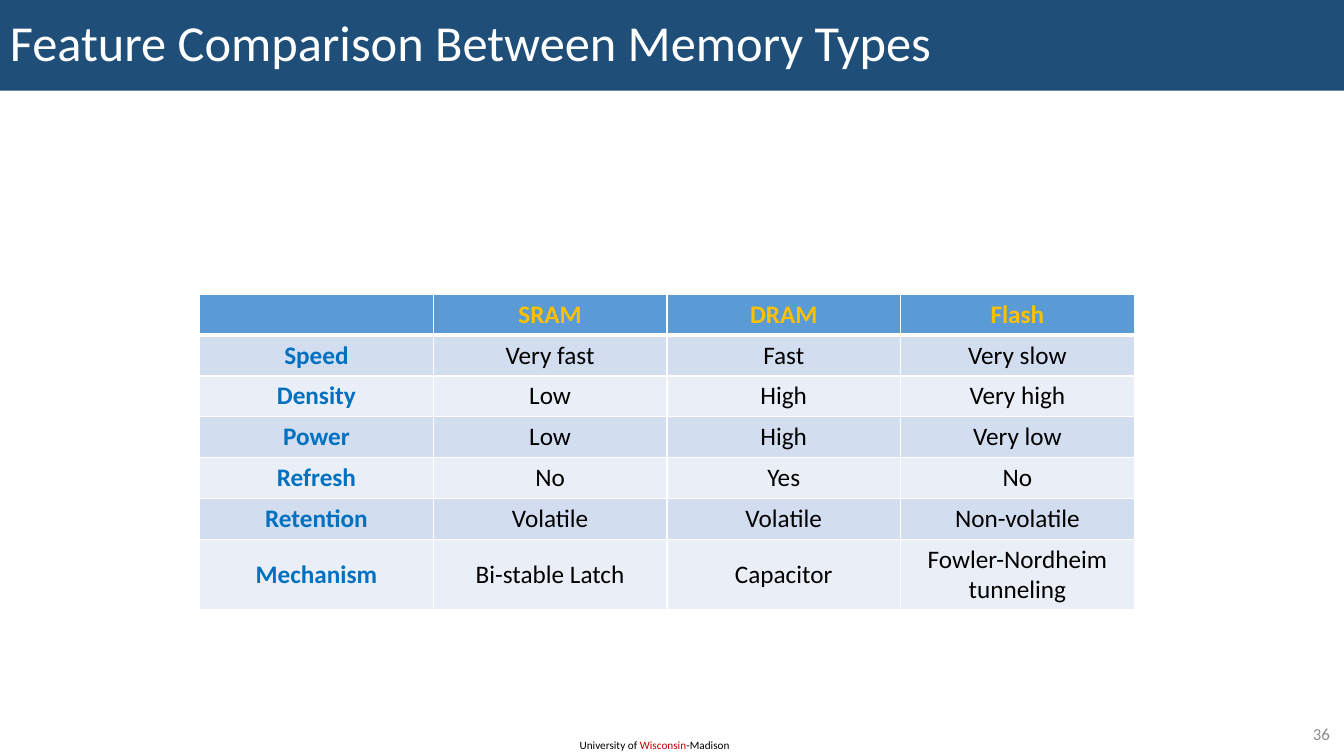
"""Build a slide comparing the features of SRAM, DRAM and Flash memory."""
from lxml import etree
from pptx import Presentation
from pptx.dml.color import RGBColor
from pptx.enum.shapes import MSO_SHAPE
from pptx.enum.text import MSO_ANCHOR, PP_ALIGN
from pptx.oxml.ns import qn
from pptx.util import Inches, Pt

RECTANGLE = MSO_SHAPE.RECTANGLE
TOP, MIDDLE = MSO_ANCHOR.TOP, MSO_ANCHOR.MIDDLE
LEFT, CENTER, RIGHT = PP_ALIGN.LEFT, PP_ALIGN.CENTER, PP_ALIGN.RIGHT

WIDTH, HEIGHT = 13.33, 7.5
FONT = "Calibri"
COLORS = {
    "banner": "1F4E79", "white": "FFFFFF", "black": "000000",
    "red": "C00000", "gray": "8C8C8C", "header": "5B9BD5",
    "gold": "FFC000", "feature": "0070C0",
    "odd_band": "D2DEEF", "even_band": "EAEFF7",
}
FEATURES = [
    ("", "SRAM", "DRAM", "Flash"),
    ("Speed", "Very fast", "Fast", "Very slow"),
    ("Density", "Low", "High", "Very high"),
    ("Power", "Low", "High", "Very low"),
    ("Refresh", "No", "Yes", "No"),
    ("Retention", "Volatile", "Volatile", "Non-volatile"),
    ("Mechanism", "Bi-stable Latch", "Capacitor", "Fowler-Nordheim tunneling"),
]
TABLE_LEFT, TABLE_TOP, TABLE_WIDTH, TABLE_HEIGHT = 1.98, 2.92, 9.27, 3.13
LAST_ROW_HEIGHT = 0.7


def color(name):
    """Return the named colour."""
    return RGBColor.from_string(COLORS[name])


def add_span(para, text, size, color_name, bold=False):
    """Add one formatted run to a paragraph."""
    span = para.add_run()
    span.text = text
    span.font.name = FONT
    span.font.size = Pt(size)
    span.font.bold = bold
    span.font.color.rgb = color(color_name)


def add_banner(page, title):
    """Add the full-width title band."""
    banner = page.shapes.add_shape(
        RECTANGLE, 0, 0, Inches(WIDTH), Inches(HEIGHT * 0.12))
    banner.shadow.inherit = False
    banner.fill.solid()
    banner.fill.fore_color.rgb = color("banner")
    banner.line.fill.background()
    banner.text_frame.word_wrap = True
    banner.text_frame.vertical_anchor = MIDDLE
    para = banner.text_frame.paragraphs[0]
    para.alignment = LEFT
    para.line_spacing = 0.9
    add_span(para, title, 36, "white")


def add_label(page, area, spans, size, align, anchor):
    """Add a one-line text box made of coloured spans."""
    box = page.shapes.add_textbox(*map(Inches, area))
    box.text_frame.word_wrap = True
    box.text_frame.vertical_anchor = anchor
    para = box.text_frame.paragraphs[0]
    para.alignment = align
    for text, color_name in spans:
        add_span(para, text, size, color_name)


def add_border(cell, side, points):
    """Draw a white line on one side of a cell."""
    line = etree.SubElement(
        cell._tc.get_or_add_tcPr(), qn(f"a:ln{side}"), w=str(Pt(points)))
    fill = etree.SubElement(line, qn("a:solidFill"))
    etree.SubElement(fill, qn("a:srgbClr"), val=COLORS["white"])


def style_cell(cell, text, row, column):
    """Write one table cell with its borders, band and text style."""
    for side in "LRTB":
        under_header = (row, side) in ((0, "B"), (1, "T"))
        add_border(cell, side, 3 if under_header else 1)
    band = "header" if row == 0 else "odd_band" if row % 2 else "even_band"
    cell.fill.solid()
    cell.fill.fore_color.rgb = color(band)
    cell.vertical_anchor = MIDDLE
    para = cell.text_frame.paragraphs[0]
    para.alignment = CENTER
    if text:
        text_color = "gold" if row == 0 else "black" if column else "feature"
        add_span(para, text, 18, text_color, bold=row == 0 or column == 0)


def add_feature_table(page):
    """Add the table of memory features."""
    area = (TABLE_LEFT, TABLE_TOP, TABLE_WIDTH, TABLE_HEIGHT)
    table = page.shapes.add_table(
        len(FEATURES), len(FEATURES[0]), *map(Inches, area)).table
    row_height = (TABLE_HEIGHT - LAST_ROW_HEIGHT) / (len(FEATURES) - 1)
    for row, texts in enumerate(FEATURES):
        table.rows[row].height = Inches(row_height)
        for column, text in enumerate(texts):
            style_cell(table.cell(row, column), text, row, column)
    table.rows[len(FEATURES) - 1].height = Inches(LAST_ROW_HEIGHT)


def main():
    """Build and save the deck."""
    deck = Presentation()
    deck.slide_width, deck.slide_height = Inches(WIDTH), Inches(HEIGHT)
    page = deck.slides.add_slide(deck.slide_layouts[6])
    university = [("University of ", "black"), ("Wisconsin", "red"),
                  ("-Madison", "black")]
    add_label(page, (5.65, 7.28, 1.72, 0.24), university, 8, LEFT, TOP)
    add_banner(page, "Feature Comparison Between Memory Types")
    add_label(page, (12.53, 7.13, 0.76, 0.29), [("36", "gray")], 12,
              RIGHT, MIDDLE)
    add_feature_table(page)
    deck.save("out.pptx")


if __name__ == "__main__":
    main()
